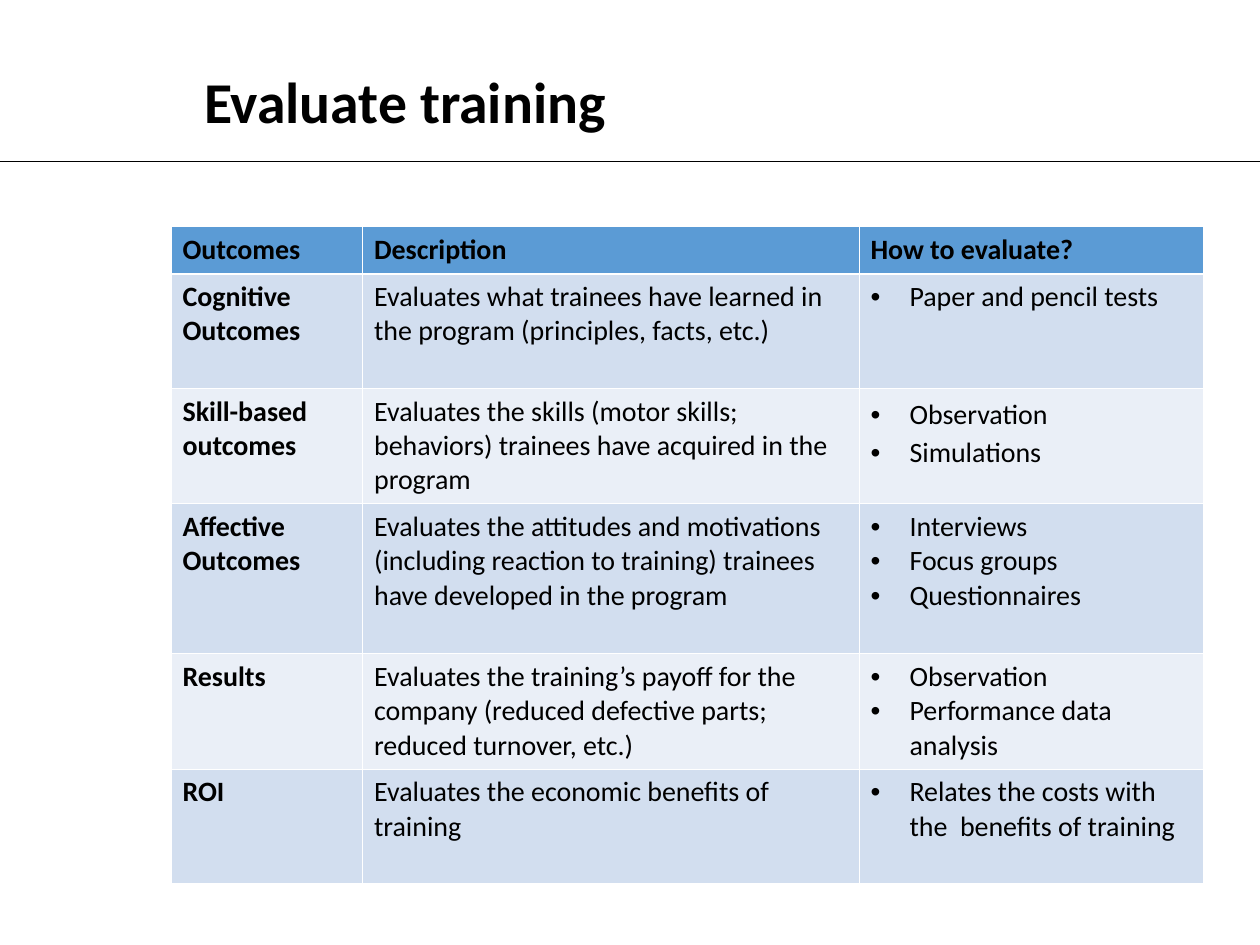
from dataclasses import dataclass

from lxml import etree
from pptx import Presentation
from pptx import util as u
from pptx.dml.color import RGBColor
from pptx.enum import shapes, text
from pptx.oxml.ns import qn


@dataclass(frozen=True)
class Theme:
    font: str = "Calibri"
    ink: str = "000000"
    header: str = "5B9BD5"
    bands: tuple = ("D2DEEF", "EAEFF7")
    grid: str = "FFFFFF"
    title_size: float = 33
    body_size: float = 16
    rule_width: float = 0.5
    grid_width: float = 0.45
    header_width: float = 1.47


theme = Theme()


def write(paragraph, words, size, bold):
    run = paragraph.add_run()
    run.text = words
    run.font.color.rgb = RGBColor.from_string(theme.ink)
    for key, value in {"name": theme.font, "size": u.Pt(size), "bold": bold}.items():
        setattr(run.font, key, value)


def add_border(cell, index, side, width):
    line = etree.Element(qn(f"a:{side}"), w=str(u.Pt(width)))
    fill = etree.SubElement(line, qn("a:solidFill"))
    etree.SubElement(fill, qn("a:srgbClr"), val=theme.grid)
    cell._tc.get_or_add_tcPr().insert(index, line)


deck = Presentation()
deck.slide_width, deck.slide_height = u.Inches(10), u.Inches(7.5)
slide = deck.slides.add_slide(deck.slide_layouts[5])

# Rule under the title, across the whole slide
rule_y = u.Inches(1.28)
rule = slide.shapes.add_connector(
    shapes.MSO_CONNECTOR.STRAIGHT, 0, rule_y, deck.slide_width, rule_y)
rule.line.color.rgb = RGBColor.from_string(theme.ink)
rule.line.width = u.Pt(theme.rule_width)
etree.SubElement(rule._element.spPr, qn("a:effectLst"))

# Title
heading = slide.shapes.title
title_place = {"left": 1.52, "top": 0.33, "width": 8.58, "height": 1.01}
for key, value in title_place.items():
    setattr(heading, key, u.Inches(value))
frame_format = {"vertical_anchor": text.MSO_ANCHOR.MIDDLE, "word_wrap": True,
                "auto_size": text.MSO_AUTO_SIZE.NONE}
for key, value in frame_format.items():
    setattr(heading.text_frame, key, value)
heading_line = heading.text_frame.paragraphs[0]
heading_line.alignment = text.PP_ALIGN.LEFT
heading_line.line_spacing = 0.9
write(heading_line, "Evaluate training", theme.title_size, True)

# Outcome, description, ways to evaluate
header = ("Outcomes", "Description", ["How to evaluate?"])
outcomes = [
    ("Cognitive Outcomes",
     "Evaluates what trainees have learned in the program (principles, facts, etc.)",
     ["Paper and pencil tests"]),
    ("Skill-based outcomes",
     "Evaluates the skills (motor skills; behaviors) trainees have acquired in the program",
     ["Observation", "Simulations"]),
    ("Affective Outcomes",
     "Evaluates the attitudes and motivations (including reaction to training) "
     "trainees have developed in the program",
     ["Interviews", "Focus groups", "Questionnaires"]),
    ("Results",
     "Evaluates the training’s payoff for the company (reduced defective parts; "
     "reduced turnover, etc.)",
     ["Observation", "Performance data analysis"]),
    ("ROI",
     "Evaluates the economic benefits of training",
     ["Relates the costs with the  benefits of training"]),
]
rows = [header, *outcomes]
column_widths = (1.52, 3.94, 2.73)
row_heights = (0.37, 0.91, 0.91, 1.19, 0.91, 0.91)
loose_row = 2

# Table grid
evaluation = slide.shapes.add_table(
    len(rows), len(column_widths), u.Inches(1.36), u.Inches(1.8),
    u.Inches(sum(column_widths)), u.Inches(sum(row_heights))).table
evaluation.horz_banding = False
for column, width in zip(evaluation.columns, column_widths):
    column.width = u.Inches(width)
for row, height in zip(evaluation.rows, row_heights):
    row.height = u.Inches(height)

# Table cells
for r, entries in enumerate(rows):
    for c, entry in enumerate(entries):
        cell = evaluation.cell(r, c)
        cell.margin_left = cell.margin_right = u.Inches(0.09)
        cell.fill.solid()
        cell.fill.fore_color.rgb = RGBColor.from_string(
            theme.bands[(r - 1) % 2] if r else theme.header)
        for index, side in enumerate(("lnL", "lnR", "lnT", "lnB")):
            under_header = (r, side) in ((0, "lnB"), (1, "lnT"))
            add_border(cell, index, side,
                       theme.header_width if under_header else theme.grid_width)

        items = entry if c == 2 else [entry]
        for i, item in enumerate(items):
            frame = cell.text_frame
            paragraph = frame.add_paragraph() if i else frame.paragraphs[0]
            write(paragraph, item, theme.body_size, r == 0 or c == 0)
            if r and c == 2:
                if r == loose_row:
                    paragraph.line_spacing = 1.1
                bullet = paragraph._p.get_or_add_pPr()
                bullet.set("marL", str(u.Inches(0.31)))
                bullet.set("indent", str(u.Inches(-0.31)))
                etree.SubElement(bullet, qn("a:buFont"), typeface="Arial")
                etree.SubElement(bullet, qn("a:buChar"), char="•")

deck.save("out.pptx")
